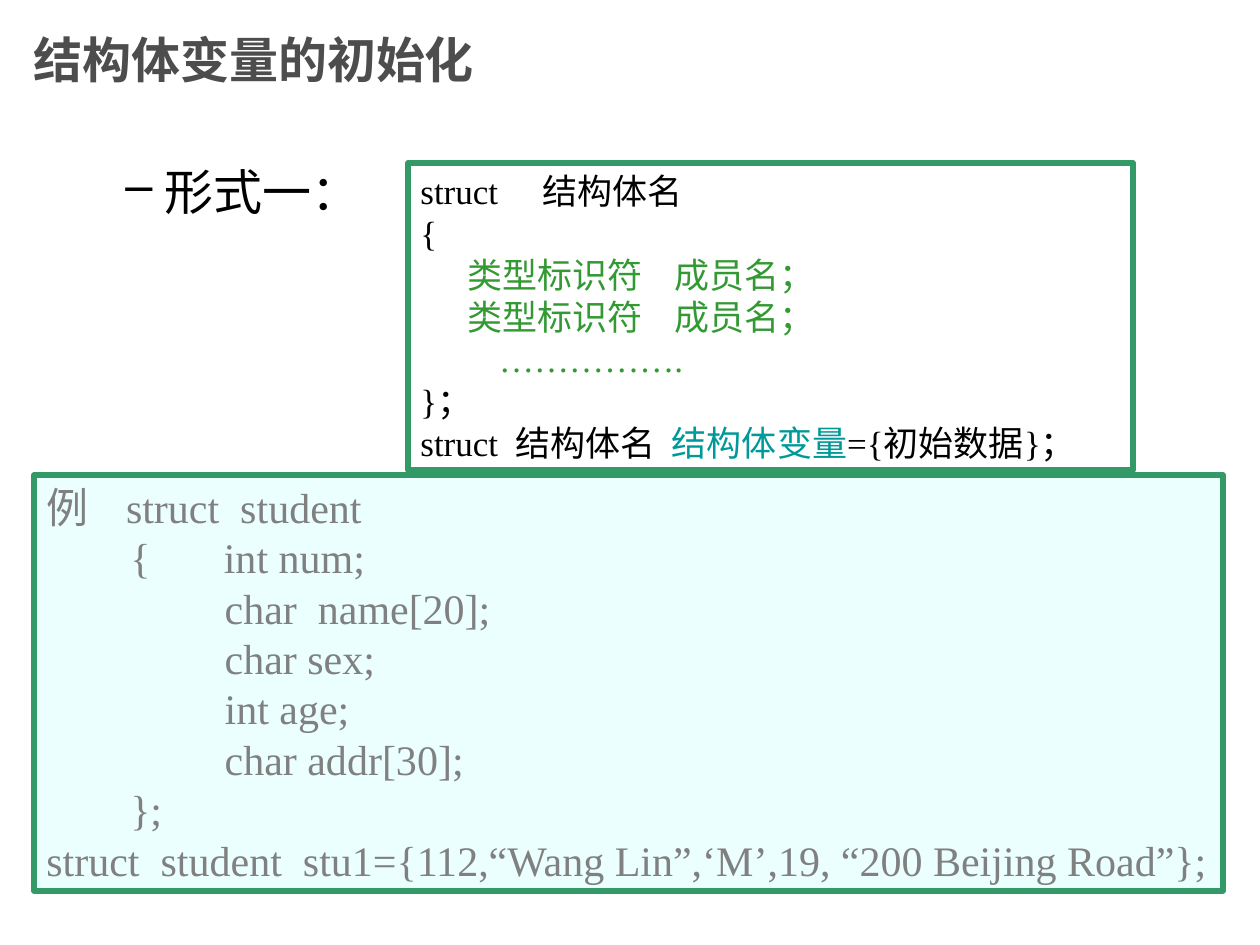
from lxml import etree
from pptx import Presentation
from pptx.dml.color import RGBColor
from pptx.enum.shapes import MSO_SHAPE
from pptx.enum.text import MSO_ANCHOR, PP_ALIGN
from pptx.oxml.ns import qn
from pptx.util import Pt

RECT, MID, LEFT = MSO_SHAPE.RECTANGLE, MSO_ANCHOR.MIDDLE, PP_ALIGN.LEFT
PX = 914400 / 126
HUES = {"title": "4D4D4D", "text": "000000", "line": "339966", "pale": "EBFFFF",
        "type": "339933", "var": "009999", "code": "808080"}


def place(left, top, width, height):
    return [round(n * PX) for n in (left, top, width, height)]


def write(para, text, hue, **style):
    run = para.add_run()
    run.text = text
    for key, val in style.items():
        setattr(run.font, key, val)
    run.font.color.rgb = RGBColor.from_string(HUES[hue])


deck = Presentation()
deck.slide_width, deck.slide_height = round(1260 * PX), round(945 * PX)
slide = deck.slides.add_slide(deck.slide_layouts[5])

# Title
title = slide.shapes.title
title.left, title.top, title.width, title.height = place(21, 21, 945, 76)
frame = title.text_frame
frame.vertical_anchor = MID
para = frame.paragraphs[0]
para.alignment = LEFT
write(para, "结构体变量的初始化", "title", name="Arial", size=Pt(28), bold=True)

# Dash item
item = slide.shapes.add_textbox(*place(50, 161, 350, 60))
frame = item.text_frame
frame.word_wrap = True
frame.vertical_anchor = MID
para = frame.paragraphs[0]
props = para._p.get_or_add_pPr()
props.set("marL", str(round(102 * PX)))
props.set("indent", str(round(-39 * PX)))
etree.SubElement(props, qn("a:buChar"), char="–")
write(para, "形式一：", "text", name="Arial", size=Pt(28))

# Code boxes: each line is a list of (text, colour) runs
member = "      类型标识符    成员名；"
form = [
    [("struct     结构体名", "text")],
    [("{", "text")],
    [(member, "type")],
    [(member, "type")],
    [("         …………….", "type")],
    [("}；", "text")],
    [("struct  结构体名  ", "text"), ("结构体变量", "var"), ("={初始数据}；", "text")],
]
sample = [[(line, "code")] for line in (
    "例    struct  student",
    "        {       int num;",
    "                 char  name[20];",
    "                 char sex;",
    "                 int age;",
    "                 char addr[30];",
    "        };",
    "struct  student  stu1={112,“Wang Lin”,‘M’,19, “200 Beijing Road”};",
)]
boxes = [
    (place(408, 163, 725, 307), None, 20, form),
    (place(34, 475, 1189, 416), "pale", 24, sample),
]
for spot, fill, size, lines in boxes:
    box = slide.shapes.add_shape(RECT, *spot)
    box.shadow.inherit = False
    if fill:
        box.fill.solid()
        box.fill.fore_color.rgb = RGBColor.from_string(HUES[fill])
    else:
        box.fill.background()
    box.line.color.rgb = RGBColor.from_string(HUES["line"])
    box.line.width = Pt(3)
    frame = box.text_frame
    frame.word_wrap = False
    frame.vertical_anchor = MID
    for num, line in enumerate(lines):
        para = frame.add_paragraph() if num else frame.paragraphs[0]
        para.alignment = LEFT
        para.line_spacing = Pt(size * 1.2)
        for text, hue in line:
            write(para, text, hue, name="Times New Roman", size=Pt(size))

deck.save("out.pptx")
